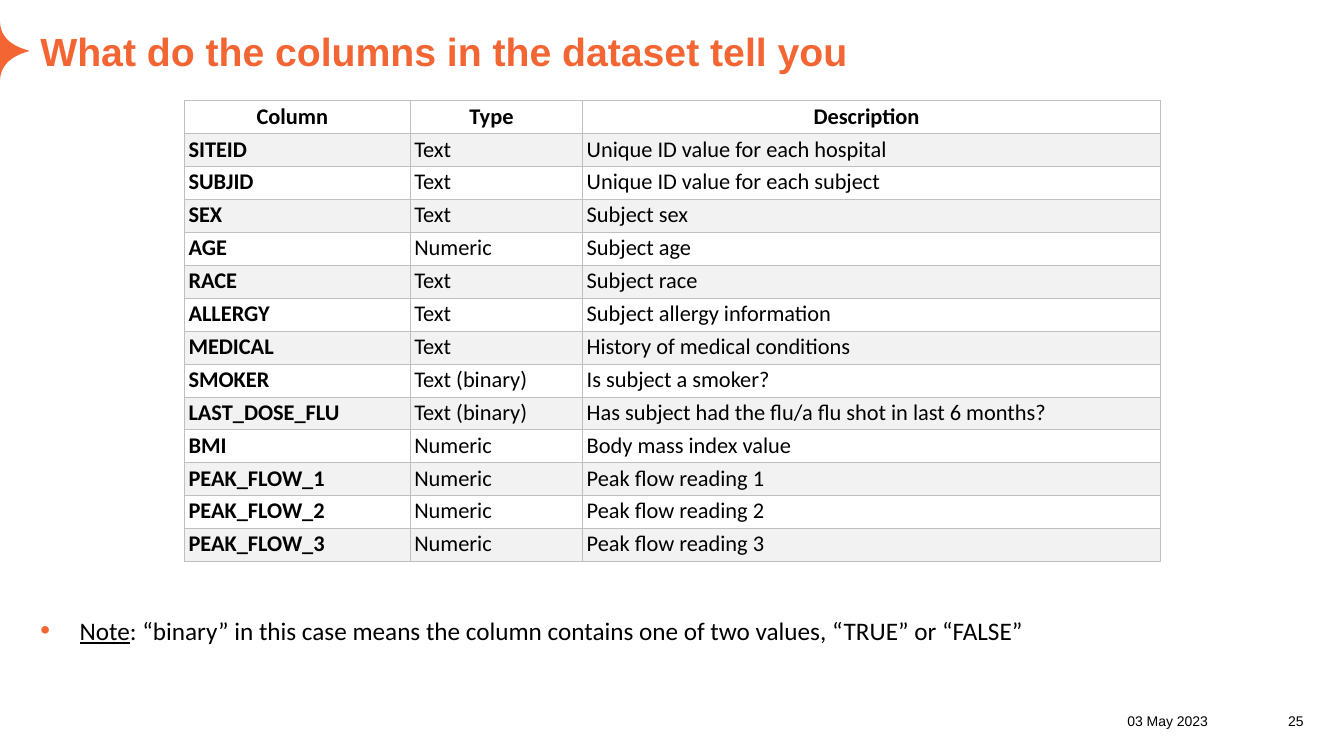
from lxml import etree
from pptx import Presentation
from pptx.dml.color import RGBColor
from pptx.enum.text import MSO_ANCHOR, PP_ALIGN
from pptx.oxml.ns import qn
from pptx.util import Inches, Pt

ORANGE = RGBColor(0xF3, 0x66, 0x33)
BLACK = RGBColor(0, 0, 0)
WHITE = RGBColor(0xFF, 0xFF, 0xFF)
BAND = RGBColor(0xF2, 0xF2, 0xF2)
BORDER = RGBColor(0xBF, 0xBF, 0xBF)
LEFT, CENTER, RIGHT = PP_ALIGN.LEFT, PP_ALIGN.CENTER, PP_ALIGN.RIGHT
TOP, BOTTOM = MSO_ANCHOR.TOP, MSO_ANCHOR.BOTTOM
HEADING_FONT, BODY_FONT = "Arial", "Calibri"
TITLE_ONLY = 5

HEADER = ("Column", "Type", "Description")
COLUMN_GUIDE = [
    ("SITEID", "Text", "Unique ID value for each hospital"),
    ("SUBJID", "Text", "Unique ID value for each subject"),
    ("SEX", "Text", "Subject sex"),
    ("AGE", "Numeric", "Subject age"),
    ("RACE", "Text", "Subject race"),
    ("ALLERGY", "Text", "Subject allergy information"),
    ("MEDICAL", "Text", "History of medical conditions"),
    ("SMOKER", "Text (binary)", "Is subject a smoker?"),
    ("LAST_DOSE_FLU", "Text (binary)",
     "Has subject had the flu/a flu shot in last 6 months?"),
    ("BMI", "Numeric", "Body mass index value"),
    ("PEAK_FLOW_1", "Numeric", "Peak flow reading 1"),
    ("PEAK_FLOW_2", "Numeric", "Peak flow reading 2"),
    ("PEAK_FLOW_3", "Numeric", "Peak flow reading 3"),
]


def bezier(start, ctrl1, ctrl2, end, steps=16):
    """Points along a cubic curve, without its start."""
    points = []
    for i in range(1, steps + 1):
        t = i / steps
        weights = ((1 - t) ** 3, 3 * t * (1 - t) ** 2, 3 * t * t * (1 - t), t ** 3)
        points.append(tuple(
            sum(w * p[axis] for w, p in zip(weights, (start, ctrl1, ctrl2, end)))
            for axis in (0, 1)))
    return points


class DatasetSlide:
    def __init__(self, prs):
        self.slide = prs.slides.add_slide(prs.slide_layouts[TITLE_ONLY])

    def style(self, paragraph, font_name, size, color=BLACK, bold=False, align=LEFT):
        paragraph.alignment = align
        for run in paragraph.runs:
            font = run.font
            font.name, font.size, font.bold = font_name, Pt(size), bold
            font.color.rgb = color

    def frame(self, shape, box, anchor, inset=0):
        shape.left, shape.top, shape.width, shape.height = map(Inches, box)
        frame = shape.text_frame
        frame.word_wrap = True
        frame.vertical_anchor = anchor
        frame.margin_left = frame.margin_right = 0
        frame.margin_top = frame.margin_bottom = Inches(inset)
        return frame

    def title(self, text, box):
        frame = self.frame(self.slide.shapes.title, box, BOTTOM)
        frame.text = text
        self.style(frame.paragraphs[0], HEADING_FONT, 28, ORANGE, bold=True)

    def footer(self, text, box):
        frame = self.frame(self.slide.shapes.add_textbox(0, 0, 0, 0), box, BOTTOM)
        frame.text = text
        self.style(frame.paragraphs[0], HEADING_FONT, 10, align=RIGHT)

    def star(self):
        top, upper, lower, bottom = (0, 0.2), (0.28, 0.5), (0.28, 0.51), (0, 0.81)
        outline = (bezier(top, (0, 0.36), (0.1, 0.45), upper)
                   + bezier(upper, (0.29, 0.5), (0.29, 0.51), lower, steps=4)
                   + bezier(lower, (0.1, 0.56), (0, 0.66), bottom))
        builder = self.slide.shapes.build_freeform(*map(Inches, top))
        builder.add_line_segments([(Inches(x), Inches(y)) for x, y in outline], close=True)
        star = builder.convert_to_shape()
        star.shadow.inherit = False
        star.fill.solid()
        star.fill.fore_color.rgb = ORANGE
        star.line.fill.background()

    def cell(self, cell, text, fill, bold, align, right_margin):
        cell.margin_left, cell.margin_right = Inches(0.04), Inches(right_margin)
        cell.margin_top = cell.margin_bottom = Inches(0.02)
        cell.text = text
        self.style(cell.text_frame.paragraphs[0], BODY_FONT, 16, bold=bold, align=align)
        props = cell._tc.get_or_add_tcPr()
        for side in ("a:lnL", "a:lnR", "a:lnT", "a:lnB"):
            line = etree.SubElement(props, qn(side), w=str(Pt(0.5)))
            solid = etree.SubElement(line, qn("a:solidFill"))
            etree.SubElement(solid, qn("a:srgbClr"), val=str(BORDER))
        cell.fill.solid()
        cell.fill.fore_color.rgb = fill

    def table(self, rows, box, widths):
        table = self.slide.shapes.add_table(
            len(rows), len(widths), *map(Inches, box)).table
        table.horz_banding = False
        for column, width in zip(table.columns, widths):
            column.width = Inches(width)
        for r, row in enumerate(rows):
            table.rows[r].height = Inches(box[3] / len(rows))
            is_header = r == 0
            for c, text in enumerate(row):
                self.cell(table.cell(r, c), text,
                          fill=BAND if r % 2 else WHITE,
                          bold=is_header or c == 0,
                          align=CENTER if is_header else LEFT,
                          right_margin=0.14 if is_header else 0.04)

    def note(self, label, text, box):
        frame = self.frame(self.slide.shapes.add_textbox(0, 0, 0, 0), box, TOP, 0.2)
        paragraph = frame.paragraphs[0]
        props = paragraph._p.get_or_add_pPr()
        props.set("marL", str(Inches(0.39)))
        props.set("indent", str(-Inches(0.39)))
        bullet_color = etree.SubElement(props, qn("a:buClr"))
        etree.SubElement(bullet_color, qn("a:srgbClr"), val=str(ORANGE))
        etree.SubElement(props, qn("a:buSzPct"), val="110000")
        etree.SubElement(props, qn("a:buFont"), typeface=HEADING_FONT)
        etree.SubElement(props, qn("a:buChar"), char="•")
        for part in (label, text):
            paragraph.add_run().text = part
        self.style(paragraph, BODY_FONT, 18)
        paragraph.runs[0].font.underline = True


def main():
    prs = Presentation()
    prs.slide_width, prs.slide_height = Inches(13.33), Inches(7.5)
    page = DatasetSlide(prs)

    # Heading and accent
    page.star()
    page.title("What do the columns in the dataset tell you", (0.4, 0.27, 12.53, 0.47))

    # Column guide
    page.table([HEADER] + COLUMN_GUIDE, (1.83, 1, 9.68, 4.57), (2.24, 1.71, 5.73))

    # Note and footer
    page.note("Note", ": “binary” in this case means the column contains one of two "
              "values, “TRUE” or “FALSE”", (0.4, 5.95, 12.53, 0.59))
    page.footer("03 May 2023", (8.94, 6.94, 3.04, 0.3))
    page.footer("25", (12.34, 6.94, 0.59, 0.3))

    prs.save("out.pptx")


if __name__ == "__main__":
    main()
